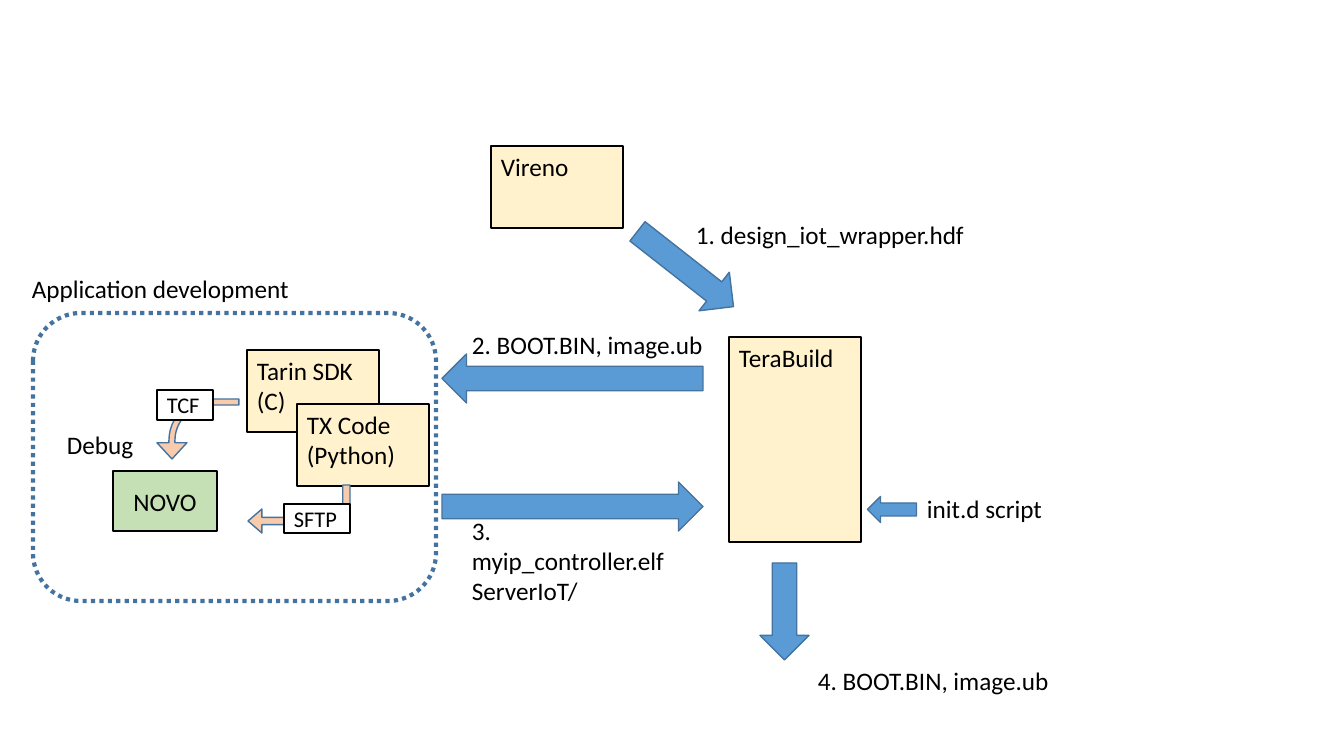
"""Build the slide showing the embedded development workflow."""
from pptx import Presentation
from pptx.dml.color import RGBColor
from pptx.enum.dml import MSO_LINE
from pptx.enum.shapes import MSO_SHAPE
from pptx.enum.text import MSO_ANCHOR, MSO_AUTO_SIZE, PP_ALIGN
from pptx.util import Pt

EMU_PER_PIXEL = 914400 / 100.8
CREAM, GREEN, WHITE, BLUE, PEACH = "FFF2CC", "C5E0B4", "FFFFFF", "5B9BD5", "F8CBAD"
BLACK, EDGE = "000000", "43739E"

TOOLS = [
    (["Vireno"], (491, 146, 132, 82)),
    (["TeraBuild"], (729, 337, 132, 205)),
    (["Tarin SDK", "(C)"], (247, 350, 132, 82)),
    (["TX Code", "(Python)"], (297, 404, 132, 82)),
]
BOARD = (["NOVO"], (113, 471, 104, 60))
PROTOCOLS = [
    (["TCF"], (157, 390, 56, 30)),
    (["SFTP"], (284, 504, 66, 29)),
]
FLOWS = [
    ((661, 208, 49, 122), 308.1),
    ((548, 248, 49, 261), 90),
    ((548, 376, 49, 261), 270),
    ((760, 563, 49, 97), 0),
    ((879, 485, 26, 49), 90),
]
DEBUG_PATHS = [
    ((168, 388, 60, 82), 90, True, (0.1, 0.25, 0.27, 0.69)),
    ((248, 485, 102, 48), 180, False, (0.15, 0.25, 0.29, 0.44)),
]
LABELS = [
    (["1. design_iot_wrapper.hdf"], (686, 214, 291, 40)),
    (["2. BOOT.BIN, image.ub"], (462, 324, 253, 40)),
    (["3. ", "myip_controller.elf", "ServerIoT/"], (462, 510, 215, 102)),
    (["4. BOOT.BIN, image.ub"], (808, 660, 253, 40)),
    (["Debug"], (57, 424, 88, 40)),
    (["Application development"], (22, 268, 280, 40)),
    (["init.d script"], (917, 488, 137, 40)),
]
DEVELOPMENT_AREA = (33, 313, 403, 288)


def px(pixels):
    return round(pixels * EMU_PER_PIXEL)


def color(hex_code):
    return RGBColor.from_string(hex_code)


def write(shape, lines, size=18, anchor=MSO_ANCHOR.TOP, align=PP_ALIGN.LEFT, wrap=True):
    frame = shape.text_frame
    frame.word_wrap = wrap
    frame.vertical_anchor = anchor
    for index, line in enumerate(lines):
        paragraph = frame.paragraphs[0] if index == 0 else frame.add_paragraph()
        paragraph.alignment = align
        run = paragraph.add_run()
        run.text = line
        run.font.name = "Calibri"
        run.font.size = Pt(size)
        run.font.color.rgb = color(BLACK)


def draw(preset, place, fill, edge=EDGE, width=1, rotation=0):
    shape = slide.shapes.add_shape(preset, *map(px, place))
    shape.shadow.inherit = False
    shape.rotation = rotation
    if fill:
        shape.fill.solid()
        shape.fill.fore_color.rgb = color(fill)
    else:
        shape.fill.background()
    shape.line.color.rgb = color(edge)
    shape.line.width = Pt(width)
    return shape


def box(entry, fill, **text_style):
    lines, place = entry
    write(draw(MSO_SHAPE.RECTANGLE, place, fill, BLACK), lines, **text_style)


deck = Presentation()
deck.slide_width, deck.slide_height = px(1344), px(756)
slide = deck.slides.add_slide(deck.slide_layouts[6])

for tool in TOOLS:
    box(tool, CREAM)
box(BOARD, GREEN, anchor=MSO_ANCHOR.MIDDLE, align=PP_ALIGN.CENTER)

for place, rotation in FLOWS:
    draw(MSO_SHAPE.DOWN_ARROW, place, BLUE, rotation=rotation)

for place, rotation, flipped, bends in DEBUG_PATHS:
    debug_path = draw(MSO_SHAPE.BENT_ARROW, place, PEACH, rotation=rotation)
    for index, bend in enumerate(bends):
        debug_path.adjustments[index] = bend
    if flipped:
        debug_path.element.spPr.xfrm.set("flipV", "1")

for protocol in PROTOCOLS:
    box(protocol, WHITE, size=16, anchor=MSO_ANCHOR.MIDDLE)

development_area = draw(MSO_SHAPE.ROUNDED_RECTANGLE, DEVELOPMENT_AREA, None, width=3)
development_area.line.dash_style = MSO_LINE.ROUND_DOT

for lines, place in LABELS:
    label = slide.shapes.add_textbox(*map(px, place))
    write(label, lines, wrap=False)
    label.text_frame.auto_size = MSO_AUTO_SIZE.SHAPE_TO_FIT_TEXT

deck.save("out.pptx")
